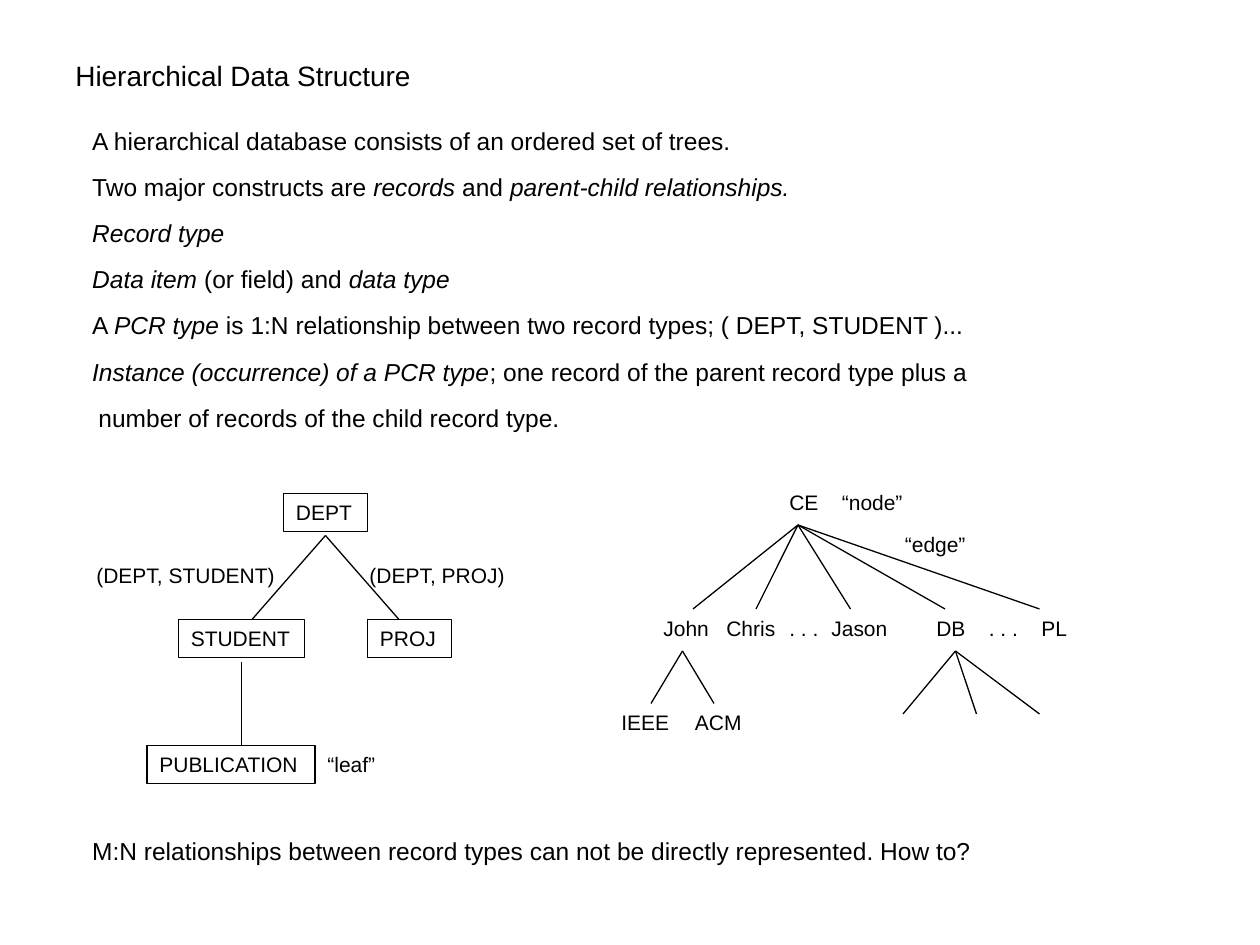
from dataclasses import dataclass

from lxml import etree
from pptx import Presentation
from pptx.dml.color import RGBColor
from pptx.enum.shapes import MSO_CONNECTOR, MSO_SHAPE
from pptx.enum.text import MSO_ANCHOR, MSO_AUTO_SIZE, PP_ALIGN
from pptx.oxml.ns import qn
from pptx.util import Inches, Pt

STRAIGHT = MSO_CONNECTOR.STRAIGHT
RECTANGLE = MSO_SHAPE.RECTANGLE
TOP = MSO_ANCHOR.TOP
LEFT = PP_ALIGN.LEFT
GROW = MSO_AUTO_SIZE.SHAPE_TO_FIT_TEXT

COLUMNS, ROWS = 120, 90
LABEL_ROWS = 3.6


@dataclass(frozen=True)
class Theme:
    font: str = "Arial"
    ink: RGBColor = RGBColor(0, 0, 0)
    title: int = 16
    body: int = 14
    label: int = 12
    body_gap: float = 9.6
    body_indent: float = 0.05
    line: float = 0.75


class SlideBuilder:
    """Draws on one slide; positions are (column, row) on a 120 by 90 grid."""

    def __init__(self, presentation, theme):
        self.theme = theme
        self.column = presentation.slide_width / COLUMNS
        self.row = presentation.slide_height / ROWS
        self.slide = presentation.slides.add_slide(presentation.slide_layouts[6])

    def place(self, left, top):
        return round(left * self.column), round(top * self.row)

    def fill_text(self, shape, paragraphs, size):
        """Fill a shape; each paragraph is (indent steps, [(text, italic), ...])."""
        frame = shape.text_frame
        frame.word_wrap = True
        frame.auto_size = GROW
        frame.vertical_anchor = TOP
        for index, (steps, runs) in enumerate(paragraphs):
            paragraph = frame.add_paragraph() if index else frame.paragraphs[0]
            paragraph.alignment = LEFT
            if index:
                paragraph.space_before = Pt(self.theme.body_gap)
            if steps:
                indent = Inches(steps * self.theme.body_indent)
                paragraph._p.get_or_add_pPr().set("marL", str(indent))
            paragraph.font.name = self.theme.font
            paragraph.font.size = Pt(size)
            paragraph.font.color.rgb = self.theme.ink
            for text, italic in runs:
                run = paragraph.add_run()
                run.text = text
                if italic:
                    run.font.italic = True
        return frame

    def text(self, left, top, width, height, paragraphs, size):
        box = self.slide.shapes.add_textbox(
            *self.place(left, top), *self.place(width, height))
        return self.fill_text(box, paragraphs, size)

    def label(self, text, left, top, width):
        self.text(left, top, width, LABEL_ROWS, [(0, [(text, False)])], self.theme.label)

    def record(self, text, left, top, width):
        box = self.slide.shapes.add_shape(
            RECTANGLE, *self.place(left, top), *self.place(width, LABEL_ROWS))
        box.shadow.inherit = False
        box.fill.background()
        box.line.color.rgb = self.theme.ink
        box.line.width = Pt(self.theme.line)
        self.fill_text(box, [(0, [(text, False)])], self.theme.label)

    def branches(self, parent, child_row, child_columns):
        """Draw one edge from the parent point to each child on a row."""
        for column in child_columns:
            edge = self.slide.shapes.add_connector(
                STRAIGHT, *self.place(*parent), *self.place(column, child_row))
            edge.line.color.rgb = self.theme.ink
            edge.line.width = Pt(self.theme.line)
            etree.SubElement(edge._element.spPr, qn("a:effectLst"))


STATEMENTS = [
    (1, [("A hierarchical database consists of an ordered set of trees.", False)]),
    (1, [("Two major constructs are ", False), ("records", True), (" and ", False),
         ("parent-child relationships.", True)]),
    (1, [("Record type", True)]),
    (1, [("Data item", True), (" (or field) and ", False), ("data type", True)]),
    (1, [("A ", False), ("PCR type", True),
         (" is 1:N relationship between two record types; ( DEPT, STUDENT )...", False)]),
    (1, [("Instance (occurrence) of a PCR type", True),
         ("; one record of the parent record type plus a", False)]),
    (2, [("number of records of the child record type.", False)]),
]
QUESTION = ("M:N relationships between record types can not be directly "
            "represented. How to?")

# text, left, top, width
RECORDS = [
    ("DEPT", 27, 47, 8),
    ("STUDENT", 17, 59, 12),
    ("PROJ", 35, 59, 8),
    ("PUBLICATION", 14, 71, 16),
]
LABELS = [
    ("(DEPT, STUDENT)", 8, 53, 20),
    ("(DEPT, PROJ)", 34, 53, 16),
    ("“leaf”", 30, 71, 8),
    ("CE", 74, 46, 8),
    ("“node”", 79, 46, 10),
    ("“edge”", 85, 50, 10),
    ("John", 62, 58, 8),
    ("Chris", 68, 58, 8),
    (". . .", 74, 58, 7),
    ("Jason", 78, 58, 8),
    ("DB", 88, 58, 6),
    (". . .", 93, 58, 7),
    ("PL", 98, 58, 5),
    ("IEEE", 58, 67, 8),
    ("ACM", 65, 67, 8),
]
# parent point, child row, child columns
BRANCHES = [
    ((31, 51), 59, (24, 38)),
    ((23, 63), 71, (23,)),
    ((76, 50), 58, (66, 72, 81, 90, 99)),
    ((65, 62), 67, (62, 68)),
    ((91, 62), 68, (86, 93, 99)),
]


def main():
    presentation = Presentation()
    presentation.slide_width = Inches(10)
    presentation.slide_height = Inches(7.5)
    theme = Theme()
    builder = SlideBuilder(presentation, theme)

    builder.text(6, 5, 80, 4.4, [(0, [("Hierarchical Data Structure", False)])], theme.title)
    statements = builder.text(7, 11, 108, 30, STATEMENTS, theme.body)
    statements.margin_top = Inches(0.08)
    for record in RECORDS:
        builder.record(*record)
    for label in LABELS:
        builder.label(*label)
    for branch in BRANCHES:
        builder.branches(*branch)
    builder.text(7, 79, 100, 4.1, [(1, [(QUESTION, False)])], theme.body)

    presentation.save("out.pptx")


if __name__ == "__main__":
    main()
